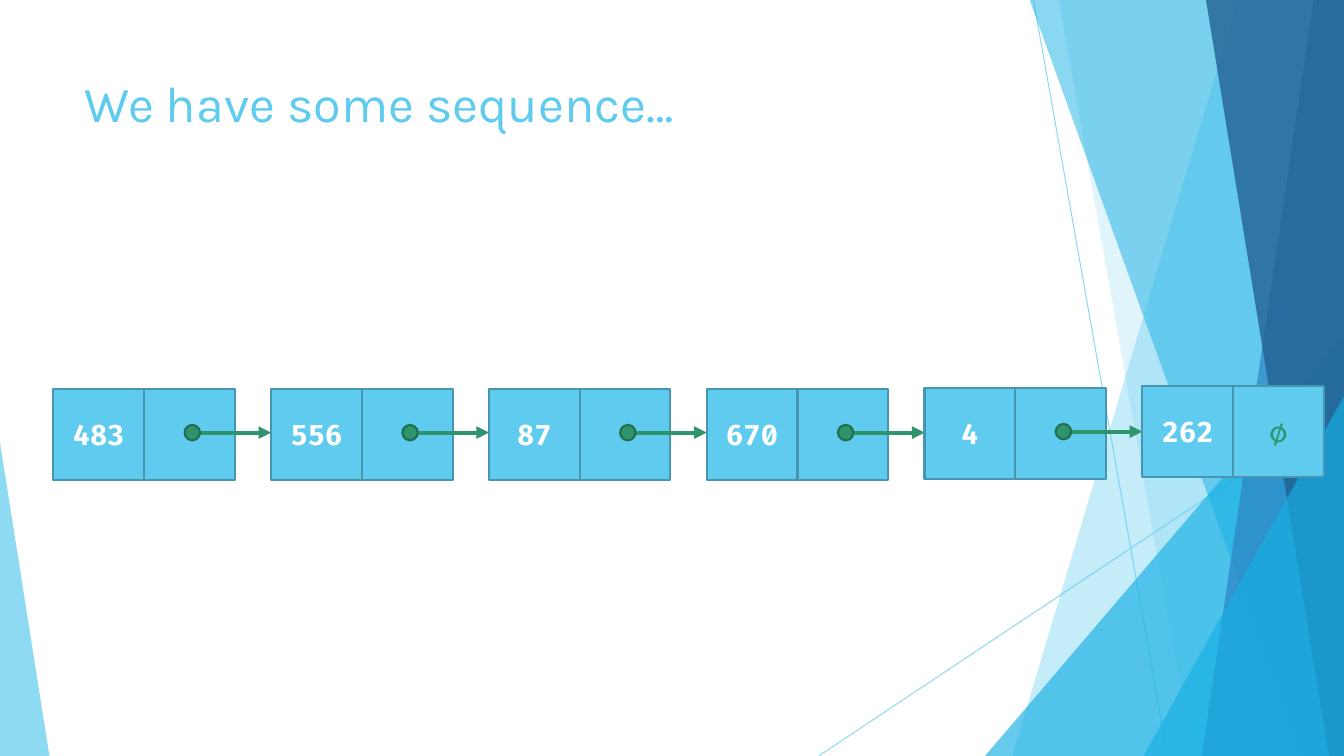
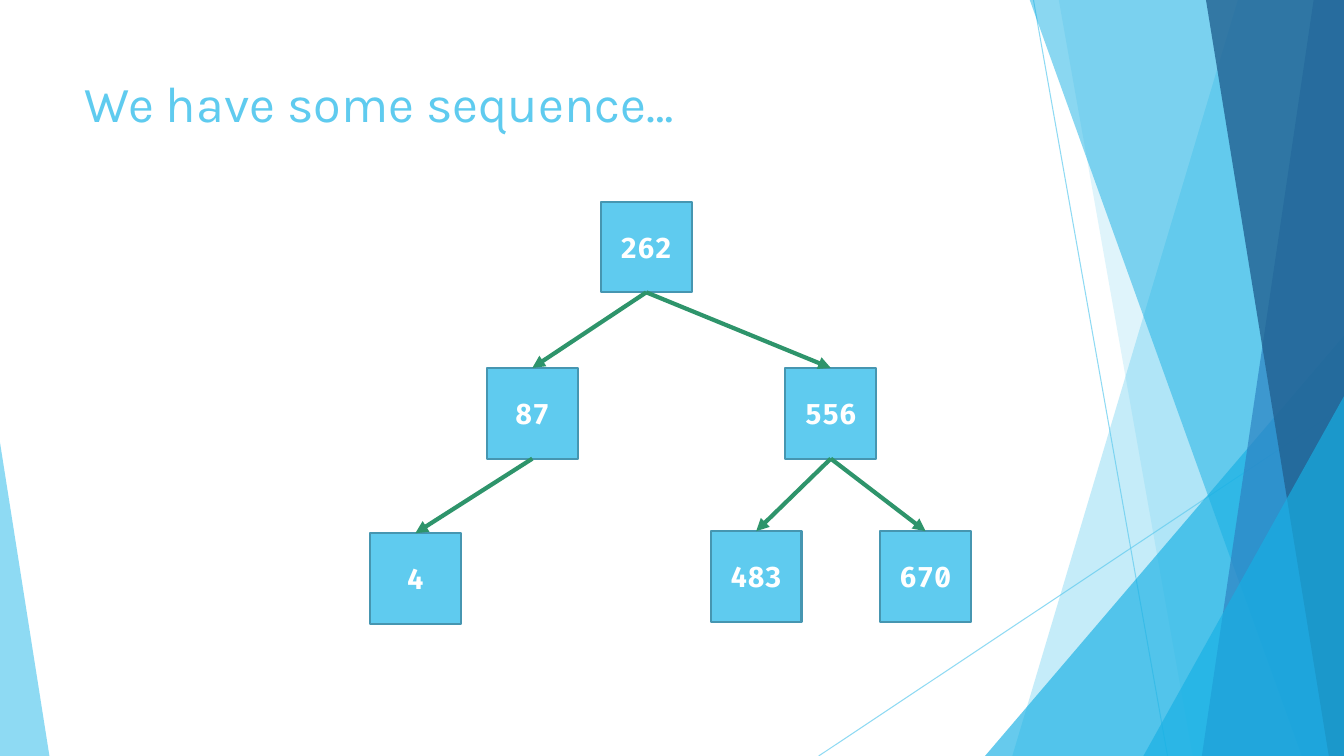
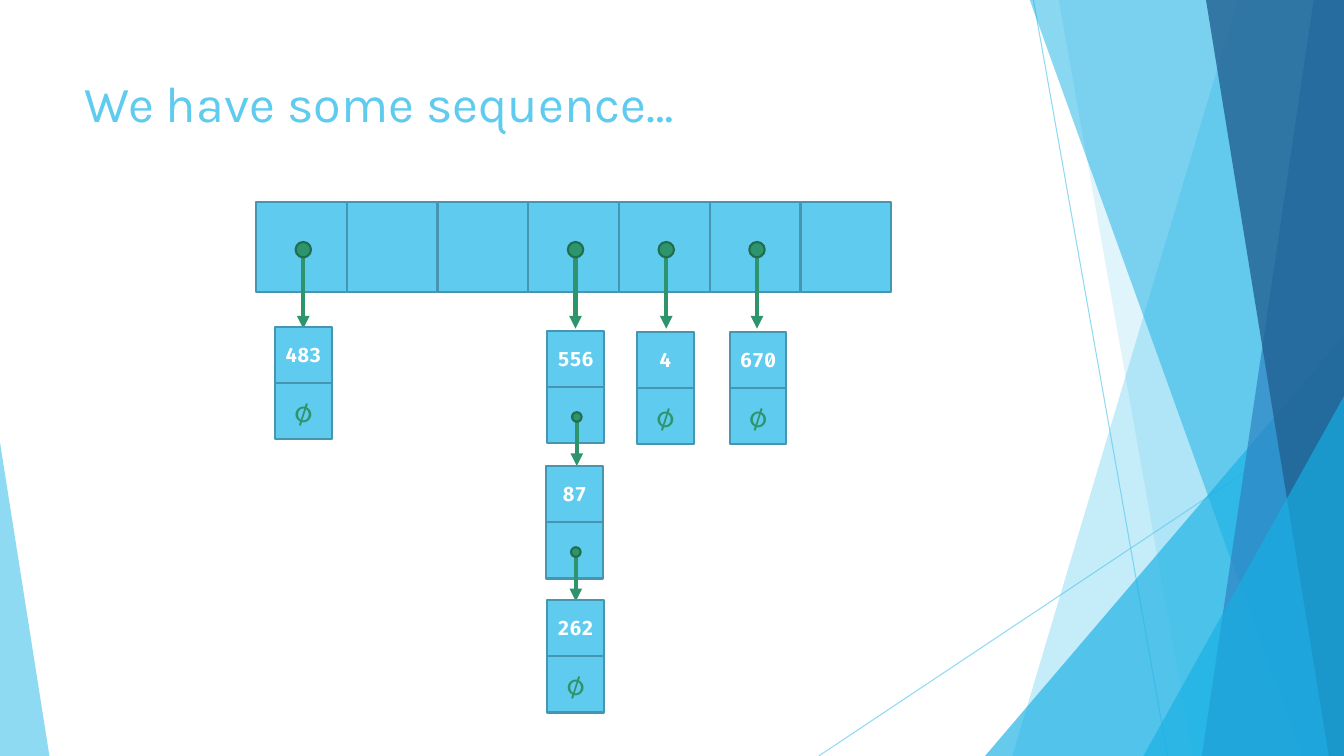
from dataclasses import dataclass
from lxml import etree
from pptx import Presentation
from pptx import util as u
from pptx.dml.color import RGBColor
from pptx.enum import shapes as sh, text as tx
from pptx.oxml import ns


@dataclass(frozen=True)
class Theme:
    sky: str = "5FCBEF"
    edge: str = "4696B1"
    aqua: str = "17B0E4"
    blue: str = "2E83C3"
    navy: str = "226292"
    leaf: str = "2E946B"
    moss: str = "226D4F"
    white: str = "FFFFFF"
    head: str = "Karla"
    code: str = "Fira Code"
    title: float = 36
    large: float = 20
    small: float = 14
    hair: float = 0.75
    rim: float = 1.5
    stroke: float = 3


T = Theme()
WIDE, HIGH = 13.33, 7.5
BIG, TINY = 0.9, 0.56
NULL = "∅"


def put(item, values):
    for name, value in values.items():
        setattr(item, name, value)


def rgb(tone):
    return RGBColor.from_string(tone)


def paint(shape, fill, line=None):
    shape.shadow.inherit = False
    shape.fill.solid()
    shape.fill.fore_color.rgb = rgb(fill)
    if line:
        shape.line.color.rgb = rgb(line)
        shape.line.width = u.Pt(T.rim)
    else:
        shape.line.fill.background()
    return shape


def fade(shape, rate):
    for tone in shape.element.iter(ns.qn("a:srgbClr")):
        etree.SubElement(tone, ns.qn("a:alpha"), val=str(rate * 1000))


def block(slide, kind, x, y, w, h, fill, line=None):
    box = [u.Inches(v) for v in (x, y, w, h)]
    return paint(slide.shapes.add_shape(kind, *box), fill, line)


def write(frame, words, size, font, tone, bold, align):
    part = frame.paragraphs[0]
    part.alignment = align
    run = part.add_run()
    run.text = words
    put(run.font, {"name": font, "size": u.Pt(size), "bold": bold})
    run.font.color.rgb = rgb(tone)


def link(slide, start, end, tone, width):
    ends = [u.Inches(v) for v in (*start, *end)]
    line = slide.shapes.add_connector(sh.MSO_CONNECTOR.STRAIGHT, *ends)
    line.line.color.rgb = rgb(tone)
    line.line.width = u.Pt(width)
    etree.SubElement(line.element.spPr, ns.qn("a:effectLst"))
    return line


def arrow(slide, start, end):
    line = link(slide, start, end, T.leaf, T.stroke)
    stem = line.element.spPr.find(ns.qn("a:ln"))
    etree.SubElement(stem, ns.qn("a:tailEnd"), type="triangle")
    return line


def panel(slide, top, foot, fill):
    pts = [(u.Inches(x), u.Inches(y)) for x, y in
           ((top, -0.01), (WIDE, -0.01), (WIDE, HIGH), (foot, HIGH))]
    form = slide.shapes.build_freeform(*pts[0], scale=1.0)
    form.add_line_segments(pts[1:], close=True)
    return paint(form.convert_to_shape(), fill)


def wedge(slide, x, y, w, tip, fill):
    shape = block(slide, sh.MSO_SHAPE.ISOSCELES_TRIANGLE, x, y, w, HIGH - y, fill)
    shape.adjustments[0] = tip
    return shape


def scene(slide, layout):
    parts = [
        (link(slide, (10.25, 0), (11.58, HIGH), T.sky, T.hair), 70),
        (link(slide, (WIDE, 4.03), (8.12, HIGH), T.sky, T.hair), 70),
        (panel(slide, 12.28, 10.04, T.sky), 36),
        (panel(slide, 10.5, 11.83, T.sky), 20),
        (wedge(slide, 9.77, 3.33, 3.56, 1, T.aqua), 66),
        (panel(slide, 10.21, 12.91, T.aqua), 50),
        (panel(slide, 13.03, 11.92, T.blue), 70),
        (panel(slide, 11.96, 13.18, T.navy), 80),
        (wedge(slide, 11.34, 3.93, 1.99, 1, T.aqua), 66),
        (wedge(slide, 0, 4.39, 0.49, 0, T.sky), 70),
    ]
    for shape, rate in parts:
        fade(shape, rate)
        layout.shapes.element.append(shape.element)


def head(slide, words):
    title = slide.shapes.title
    put(title, {"left": u.Inches(0.74), "top": u.Inches(0.67),
                "width": u.Inches(9.4), "height": u.Inches(1.44)})
    put(title.text_frame, {"word_wrap": True, "auto_size": tx.MSO_AUTO_SIZE.NONE,
                           "vertical_anchor": tx.MSO_ANCHOR.TOP})
    write(title.text_frame, words, T.title, T.head, T.sky, False, tx.PP_ALIGN.LEFT)


def cell(slide, x, y, side, words=""):
    shape = block(slide, sh.MSO_SHAPE.RECTANGLE, x, y, side, side, T.sky, T.edge)
    if words:
        frame = shape.text_frame
        put(frame, {"word_wrap": True, "vertical_anchor": tx.MSO_ANCHOR.MIDDLE,
                    "margin_left": 0, "margin_right": 0})
        void = words == NULL
        size = T.large if void or side == BIG else T.small
        write(frame, words, size, T.code, T.leaf if void else T.white,
              not void, tx.PP_ALIGN.CENTER)
    return shape


def pointer(slide, x, y, side, down=False):
    def spot(along, cross):
        a, b = (1 - cross, along) if down else (along, cross)
        return x + a * side, y + b * side

    cell(slide, x, y, side)
    arrow(slide, spot(0.51, 0.48), spot(1.4, 0.48))
    dot = 0.17 * side
    cx, cy = spot(0.53, 0.48)
    block(slide, sh.MSO_SHAPE.OVAL, cx - dot / 2, cy - dot / 2, dot, dot, T.leaf, T.moss)


def chain(slide, x, y):
    items = (("483", 0), ("556", 0), ("87", 0), ("670", 0), ("4", -0.01), ("262", -0.03))
    for i, (key, lift) in enumerate(items):
        left, top = x + 2.16 * i, y + lift
        cell(slide, left, top, BIG, key)
        if i < len(items) - 1:
            pointer(slide, left + BIG, top, BIG)
        else:
            cell(slide, left + BIG, top, BIG, NULL)


def tree(slide, x, y):
    spots = {"483": (3.38, 3.27), "556": (4.12, 1.65), "87": (1.16, 1.65),
             "670": (5.06, 3.27), "4": (0, 3.29), "262": (2.29, 0)}
    nodes = {key: cell(slide, x + dx, y + dy, BIG, key)
             for key, (dx, dy) in spots.items()}
    for above, below in (("262", "87"), ("556", "483"), ("556", "670"),
                         ("262", "556"), ("87", "4")):
        line = arrow(slide, (x, y), (x, y))
        line.begin_connect(nodes[above], 2)
        line.end_connect(nodes[below], 0)


def node(slide, x, y, key, more):
    cell(slide, x, y, TINY, key)
    if more:
        pointer(slide, x, y + TINY, TINY, True)
    else:
        cell(slide, x, y + TINY, TINY, NULL)


def table(slide, x, y):
    for i in range(7):
        draw = (slide, x + BIG * i, y, BIG)
        if i in (0, 3, 4, 5):
            pointer(*draw, True)
        else:
            cell(*draw)
    for key, dx, dy, more in (
            ("483", 0.19, 1.24, False), ("556", 2.89, 1.28, True),
            ("87", 2.88, 2.62, True), ("262", 2.89, 3.95, False),
            ("4", 3.78, 1.29, False), ("670", 4.7, 1.29, False)):
        node(slide, x + dx, y + dy, key, more)


def main():
    deck = Presentation()
    put(deck, {"slide_width": u.Inches(WIDE), "slide_height": u.Inches(HIGH)})
    layout = deck.slide_layouts[5]
    for i, (draw, x, y) in enumerate(((chain, 0.53, 3.86), (tree, 3.67, 2), (table, 2.54, 2))):
        slide = deck.slides.add_slide(layout)
        if i == 0:
            scene(slide, layout)
        head(slide, "We have some sequence…")
        draw(slide, x, y)
    deck.save("out.pptx")


if __name__ == "__main__":
    main()
